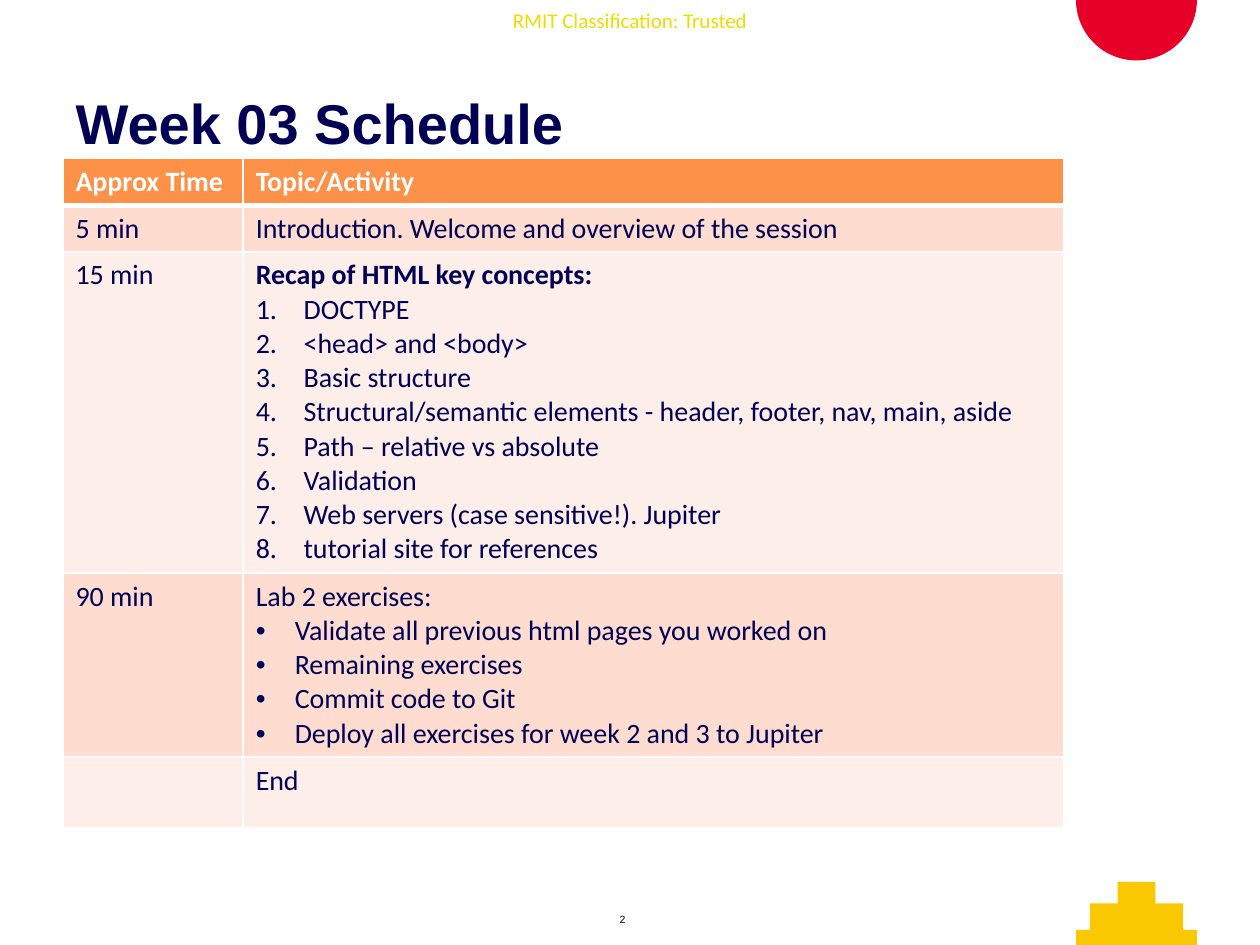
import math
import pptx
import pptx.util
import pptx.dml.color
import pptx.enum.text
import pptx.oxml
import pptx.oxml.ns

NAVY, WHITE = "000054", "FFFFFF"
HEAD, DARK, PALE = "FC9147", "FEDCCF", "FEEEE9"
RECAP = [
    "DOCTYPE",
    "<head> and <body>",
    "Basic structure",
    "Structural/semantic elements - header, footer, nav, main, aside",
    "Path – relative vs absolute",
    "Validation",
    "Web servers (case sensitive!). Jupiter",
    "tutorial site for references",
]
LAB = [
    "Validate all previous html pages you worked on",
    "Remaining exercises",
    "Commit code to Git",
    "Deploy all exercises for week 2 and 3 to Jupiter",
]
NUM = ('buFont', 'typeface="+mj-lt"'), ('buAutoNum', 'type="arabicPeriod"')
DOT = ('buFont', 'typeface="Arial"'), ('buChar', 'char="•"')
ROWS = [
    {"time": "Approx Time", "topic": "Topic/Activity", "high": 0.37},
    {"time": "5 min", "topic": "Introduction. Welcome and overview of the session", "high": 0.37},
    {"time": "15 min", "topic": "Recap of HTML key concepts:", "high": 2.55,
     "list": RECAP, "mark": NUM, "dent": 0.38, "bold": True},
    {"time": "90 min", "topic": "Lab 2 exercises:", "high": 1.46,
     "list": LAB, "mark": DOT, "dent": 0.31},
    {"time": "", "topic": "End", "high": 0.56},
]
COLS = [1.43, 6.51]
LEFT, TOP = 0.5, 1.26
STEPS = [(0.48, 7.38), (0.37, 7.17), (0.15, 7)]
MID, RAD = 9.02, 0.48

inch, pt = pptx.util.Inches, pptx.util.Pt
ANCHOR = pptx.enum.text.MSO_ANCHOR
ALIGN = pptx.enum.text.PP_ALIGN


def color(code):
    return pptx.dml.color.RGBColor.from_string(code)


def paint(fill, code):
    fill.solid()
    fill.fore_color.rgb = color(code)


def style(para, face, size, code, bold=False):
    for run in para.runs:
        font = run.font
        font.name, font.size, font.bold = face, pt(size), bold
        font.color.rgb = color(code)


def element(tag, attrs, inner=""):
    space = pptx.oxml.ns.nsdecls("a")
    return pptx.oxml.parse_xml(f"<a:{tag} {space} {attrs}>{inner}</a:{tag}>")


def outline(slide, points, code):
    spots = [(inch(x), inch(y)) for x, y in points]
    build = slide.shapes.build_freeform(*spots[0])
    build.add_line_segments(spots[1:], close=True)
    shape = build.convert_to_shape()
    shape.shadow.inherit = False
    paint(shape.fill, code)
    shape.line.fill.background()


def label(slide, text, area, face, size, code, wrap, pad=None):
    frame = slide.shapes.add_textbox(*map(inch, area)).text_frame
    frame.text, frame.word_wrap = text, wrap
    style(frame.paragraphs[0], face, size, code)
    if pad is not None:
        frame.margin_left = frame.margin_right = inch(pad)
        frame.margin_top = frame.margin_bottom = inch(pad)
        frame.vertical_anchor = ANCHOR.MIDDLE
        frame.paragraphs[0].alignment = ALIGN.CENTER


def border(cell, base):
    line = f'<a:solidFill><a:srgbClr val="{WHITE}"/></a:solidFill>'
    props = cell._tc.get_or_add_tcPr()
    for spot, side in enumerate("LRTB"):
        wide = pt(base if side == "B" else 1)
        props.insert(spot, element("ln" + side, f'w="{wide}"', line))


def bullet(para, marks, dent):
    props = para._p.get_or_add_pPr()
    props.set("marL", str(inch(dent)))
    props.set("indent", str(-inch(dent)))
    for tag, attrs in marks:
        props.append(element(tag, attrs))


def fill_row(grid, num, row):
    first = num == 0
    back = HEAD if first else (DARK if num % 2 else PALE)
    ink = WHITE if first else NAVY
    grid.rows[num].height = inch(row["high"])
    for col, key in enumerate(("time", "topic")):
        cell = grid.cell(num, col)
        lines = [row[key]] + (row.get("list", []) if col else [])
        cell.text_frame.text = "\n".join(lines)
        paint(cell.fill, back)
        border(cell, 3 if first else 1)
        for spot, para in enumerate(cell.text_frame.paragraphs):
            if spot:
                bullet(para, row["mark"], row["dent"])
            strong = first or (col == 1 and spot == 0 and row.get("bold", False))
            style(para, "Calibri", 16, ink, strong)


def main():
    deck = pptx.Presentation()
    deck.slide_width, deck.slide_height = inch(10), inch(7.5)
    slide = deck.slides.add_slide(deck.slide_layouts[5])

    turns = [math.pi * k / 48 for k in range(49)]
    outline(slide, [(MID + RAD * math.cos(t), RAD * math.sin(t)) for t in turns], "E60028")

    half, low = [], 7.5
    for wide, high in STEPS:
        half += [(wide, low), (wide, high)]
        low = high
    right = [(MID + x, y) for x, y in half]
    left = [(MID - x, y) for x, y in reversed(half)]
    outline(slide, right + left, "FAC800")

    label(slide, "2", (4.82, 7.2, 0.3, 0.2), "Arial", 6, "000000", False)
    label(slide, "RMIT Classification: Trusted", (3.87, 0, 2.26, 0.32),
          "Calibri", 12, "EEDC00", True, 0)

    title = slide.shapes.title
    title.left, title.top = inch(LEFT), inch(0.16)
    title.width, title.height = inch(sum(COLS)), inch(1.62)
    title.text_frame.text = "Week 03 Schedule"
    title.text_frame.vertical_anchor = ANCHOR.MIDDLE
    title.text_frame.paragraphs[0].alignment = ALIGN.LEFT
    style(title.text_frame.paragraphs[0], "Arial", 32, NAVY, True)

    high = sum(row["high"] for row in ROWS)
    area = map(inch, (LEFT, TOP, sum(COLS), high))
    grid = slide.shapes.add_table(len(ROWS), len(COLS), *area).table
    for col, wide in zip(grid.columns, COLS):
        col.width = inch(wide)
    for num, row in enumerate(ROWS):
        fill_row(grid, num, row)

    deck.save("out.pptx")


if __name__ == "__main__":
    main()
